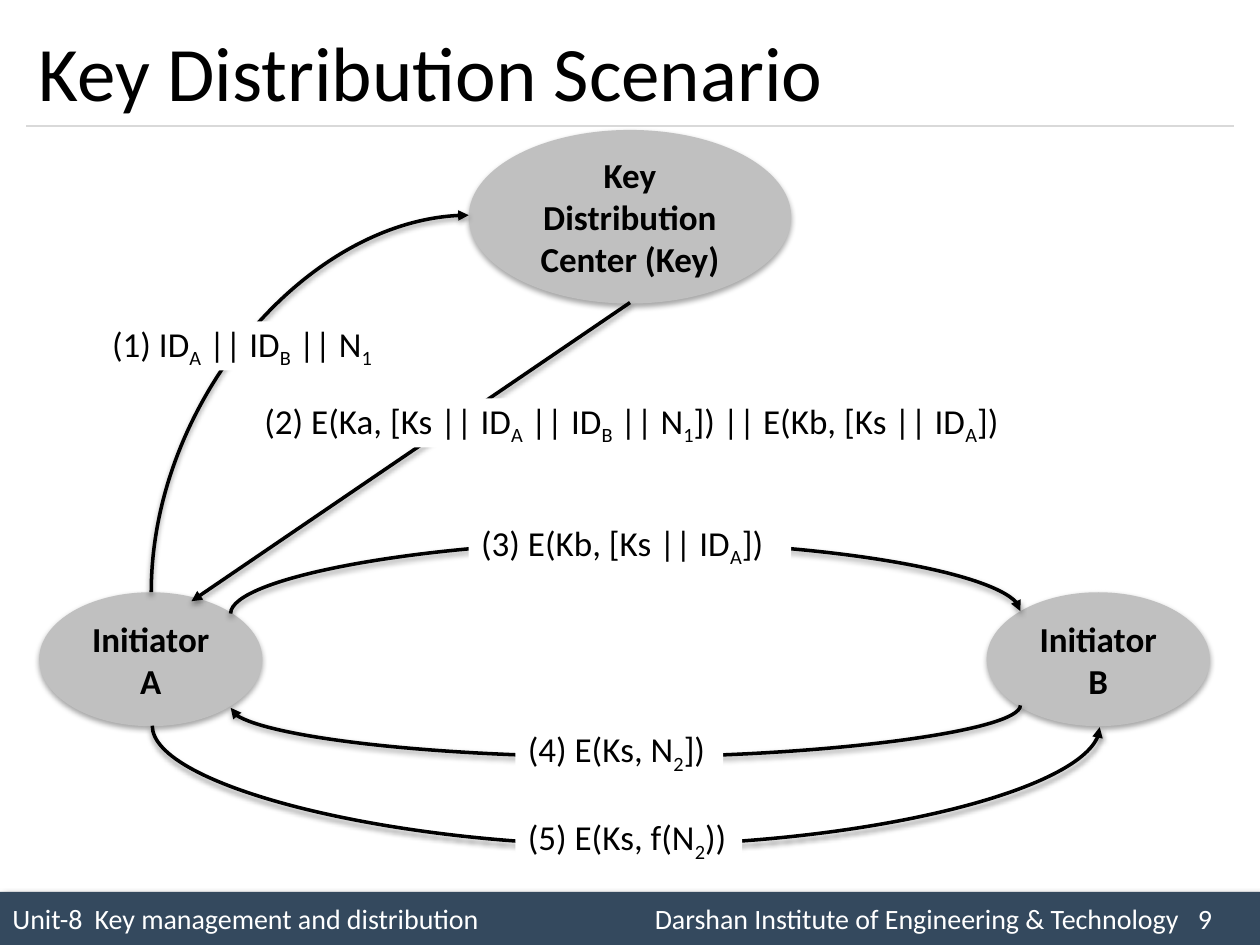
"""Build the key distribution scenario slide."""
from lxml.etree import SubElement
from pptx import Presentation
from pptx.dml.color import RGBColor
from pptx.enum.shapes import MSO_CONNECTOR, MSO_SHAPE
from pptx.enum.text import MSO_ANCHOR, PP_ALIGN
from pptx.oxml.ns import qn
from pptx.util import Cm, Pt

COLORS = {
    "ink": "000000",
    "paper": "FFFFFF",
    "node": "C0C0C0",
    "rule": "D9D9D9",
    "footer": "34495E",
}


class KeyDistributionSlide:
    """Hold the style and the slide, and draw each kind of element."""

    font_name = "Calibri"
    node_shadow = (35, 3.15, 1.8, 90)
    arrow_shadow = (38, 3.15, 1.6, 90)
    footer_shadow = (40, 4, 3, 45)

    def __init__(self, presentation):
        self.slide = presentation.slides.add_slide(presentation.slide_layouts[6])

    def color(self, name):
        return RGBColor.from_string(COLORS[name])

    def add_run(self, paragraph, text, size, color="ink", bold=False, subscript=False):
        run = paragraph.add_run()
        run.text = text
        run.font.name = self.font_name
        run.font.size = Pt(size)
        run.font.bold = bold
        run.font.color.rgb = self.color(color)
        if subscript:
            run.font._element.set("baseline", "-25000")

    def add_shadow(self, shape, opacity, blur, distance, angle):
        effects = SubElement(shape._element.spPr, qn("a:effectLst"))
        shadow = SubElement(effects, qn("a:outerShdw"), blurRad=str(Pt(blur)),
                            dist=str(Pt(distance)), dir=str(angle * 60000), rotWithShape="0")
        tint = SubElement(shadow, qn("a:srgbClr"), val=COLORS["ink"])
        SubElement(tint, qn("a:alpha"), val=str(opacity * 1000))

    def add_box(self, kind, left, top, width, height, fill, shadow=None):
        shape = self.slide.shapes.add_shape(kind, Cm(left), Cm(top), Cm(width), Cm(height))
        shape.fill.solid()
        shape.fill.fore_color.rgb = self.color(fill)
        shape.line.fill.background()
        if shadow:
            self.add_shadow(shape, *shadow)
        else:
            shape.shadow.inherit = False
        frame = shape.text_frame
        frame.word_wrap = True
        frame.vertical_anchor = MSO_ANCHOR.MIDDLE
        frame.paragraphs[0].alignment = PP_ALIGN.LEFT
        return frame

    def add_title(self, text):
        frame = self.slide.shapes.add_textbox(Cm(0.53), Cm(0.3), Cm(24.34), Cm(2.24)).text_frame
        frame.word_wrap = True
        frame.vertical_anchor = MSO_ANCHOR.MIDDLE
        self.add_run(frame.paragraphs[0], text, 44)

    def add_footer(self, parts, tab_stops):
        frame = self.add_box(MSO_SHAPE.RECTANGLE, 0, 17.98, 25.4, 1.07, "footer",
                             self.footer_shadow)
        paragraph = frame.paragraphs[0]
        tabs = SubElement(paragraph._p.get_or_add_pPr(), qn("a:tabLst"))
        for stop in tab_stops:
            SubElement(tabs, qn("a:tab"), pos=str(Cm(stop)), algn="l")
        self.add_run(paragraph, "\t".join(parts), 16, "paper")

    def add_node(self, left, top, width, height, *lines):
        frame = self.add_box(MSO_SHAPE.OVAL, left, top, width, height, "node", self.node_shadow)
        for index, line in enumerate(lines):
            paragraph = frame.add_paragraph() if index else frame.paragraphs[0]
            paragraph.alignment = PP_ALIGN.CENTER
            self.add_run(paragraph, line, 20, bold=True)

    def add_label(self, left, top, width, text):
        """Draw a message whose subscripts stand between tildes."""
        frame = self.add_box(MSO_SHAPE.RECTANGLE, left, top, width, 0.99, "paper")
        for index, part in enumerate(text.split("~")):
            self.add_run(frame.paragraphs[0], part, 20, subscript=index % 2 == 1)

    def add_line(self, begin, end, color, width, kind=MSO_CONNECTOR.STRAIGHT):
        line = self.slide.shapes.add_connector(kind, *map(Cm, begin + end))
        line.line.color.rgb = self.color(color)
        line.line.width = Pt(width)
        return line

    def add_rule(self, begin, end):
        rule = self.add_line(begin, end, "rule", 0.75)
        SubElement(rule._element.spPr, qn("a:effectLst"))

    def add_arrow(self, begin, end, kind=MSO_CONNECTOR.STRAIGHT):
        arrow = self.add_line(begin, end, "ink", 2, kind)
        SubElement(arrow.line._get_or_add_ln(), qn("a:tailEnd"), type="triangle")
        self.add_shadow(arrow, *self.arrow_shadow)
        return arrow

    def add_curve(self, begin, end, bend=None):
        """Draw an arrow that leaves vertically, bending back after the given length."""
        center_x, center_y = (begin[0] + end[0]) / 2, (begin[1] + end[1]) / 2
        half_x, half_y = (end[0] - begin[0]) / 2, (end[1] - begin[1]) / 2
        curve = self.add_arrow((center_x - half_y, center_y + half_x),
                               (center_x + half_y, center_y - half_x), MSO_CONNECTOR.CURVE)
        curve._element.rot = 90
        geometry = curve._element.spPr.find(qn("a:prstGeom"))
        if bend is None:
            geometry.set("prst", "curvedConnector2")
        else:
            ratio = round(bend / abs(2 * half_y) * 100000)
            SubElement(geometry.find(qn("a:avLst")), qn("a:gd"), name="adj1", fmla=f"val {ratio}")


def main():
    presentation = Presentation()
    presentation.slide_width, presentation.slide_height = Cm(25.4), Cm(19.05)
    slide = KeyDistributionSlide(presentation)

    slide.add_footer(("Unit-8", "Key management and distribution",
                      "Darshan Institute of Engineering & Technology", "9"),
                     (1.66, 12.95, 23.9))
    slide.add_rule((0.53, 2.54), (24.87, 2.54))
    slide.add_title("Key Distribution Scenario")

    slide.add_node(9.45, 2.62, 6.5, 3.5, "Key Distribution Center (Key)")
    for left, name in ((0.79, "A"), (19.89, "B")):
        slide.add_node(left, 11.94, 4.5, 2.7, "Initiator", name)

    slide.add_curve((3.05, 11.94), (9.45, 4.34))
    slide.add_arrow((12.7, 6.1), (3.86, 12.12))
    slide.add_curve((4.65, 12.37), (20.57, 12.32), 1.45)
    slide.add_curve((20.57, 14.22), (4.65, 14.27), 1.04)
    slide.add_curve((3.07, 14.63), (22.17, 14.66), 2.41)

    for label in (
        (2.01, 6.48, 5.89, "(1) ID~A~ || ID~B~ || N~1~"),
        (5.08, 8.03, 16, "(2) E(Ka, [Ks || ID~A~ || ID~B~ || N~1~]) || E(Kb, [Ks || ID~A~])"),
        (9.45, 10.49, 6.5, "(3) E(Kb, [Ks || ID~A~])"),
        (10.39, 14.66, 4.19, "(4) E(Ks, N~2~])"),
        (10.39, 16.43, 4.57, "(5) E(Ks, f(N~2~))"),
    ):
        slide.add_label(*label)

    presentation.save("out.pptx")


if __name__ == "__main__":
    main()
